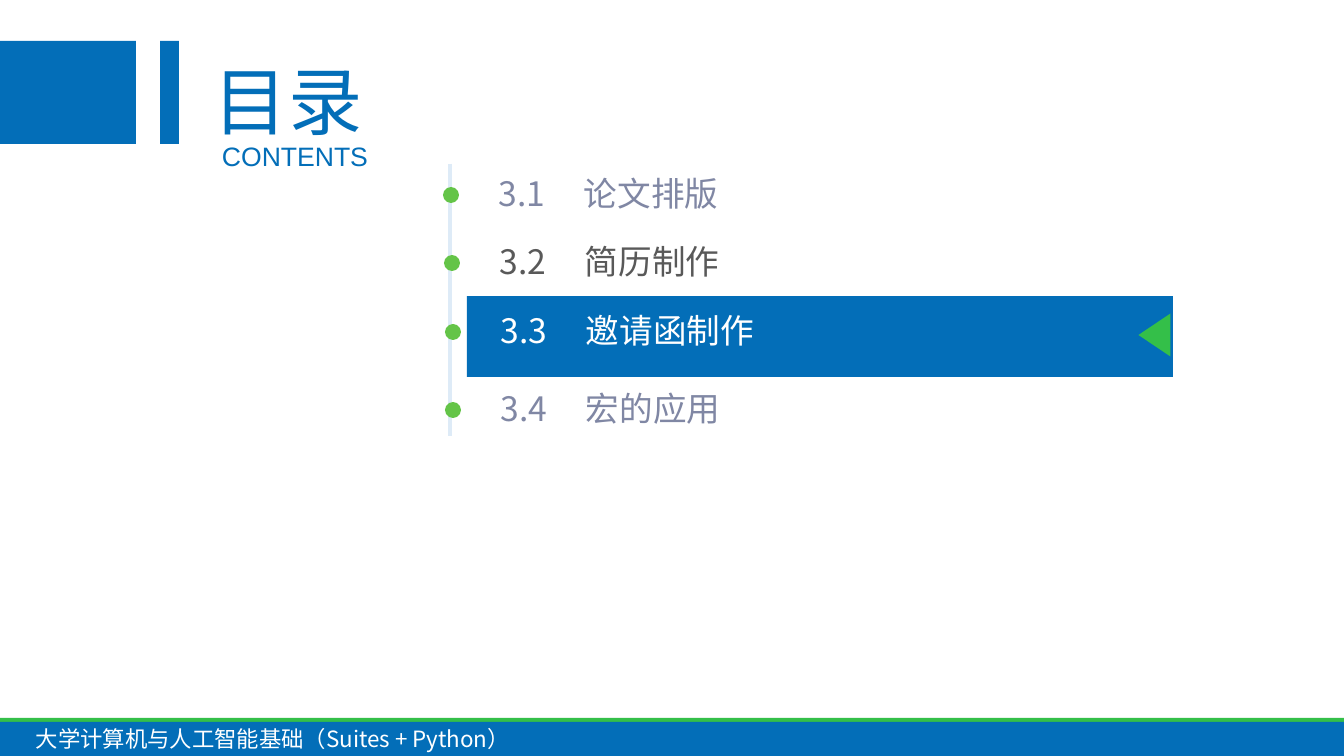
from lxml import etree
from pptx import Presentation
from pptx.dml.color import RGBColor
from pptx.enum.shapes import MSO_CONNECTOR, MSO_SHAPE
from pptx.oxml.ns import qn
from pptx.util import Emu, Pt

RECTANGLE, OVAL = MSO_SHAPE.RECTANGLE, MSO_SHAPE.OVAL
TRIANGLE = MSO_SHAPE.ISOSCELES_TRIANGLE
STRAIGHT = MSO_CONNECTOR.STRAIGHT

WIDTH, HEIGHT = 1344, 756
CJK_FONT = "Noto Sans CJK SC"
BLUE, GREEN, DOT_GREEN = "036EB8", "34BF49", "64C448"
WHITE, MUTED, DARK, PALE = "FFFFFF", "8087A4", "595959", "DEEBF7"


def px(value):
    return Emu(round(value * 914400 / 100.8))


def color(value):
    return RGBColor.from_string(value)


def add_block(slide, kind, left, top, width, height, fill):
    shape = slide.shapes.add_shape(kind, px(left), px(top), px(width), px(height))
    shape.shadow.inherit = False
    shape.fill.solid()
    shape.fill.fore_color.rgb = color(fill)
    shape.line.fill.background()
    return shape


def add_text(slide, text, left, top, width, height, *, size, fill,
             font=CJK_FONT, spacing=None, margins=(0, 0, 0, 7), tab=None):
    box = slide.shapes.add_textbox(px(left), px(top), px(width), px(height))
    frame = box.text_frame
    frame.word_wrap = True
    (frame.margin_left, frame.margin_top,
     frame.margin_right, frame.margin_bottom) = map(px, margins)
    paragraph = frame.paragraphs[0]
    if tab:
        stops = etree.SubElement(paragraph._p.get_or_add_pPr(), qn("a:tabLst"))
        etree.SubElement(stops, qn("a:tab"), pos=str(px(tab)), algn="l")
    if spacing:
        paragraph.line_spacing = Pt(spacing)
    run = paragraph.add_run()
    run.text = text
    run.font.size = Pt(size)
    run.font.color.rgb = color(fill)
    run.font.name = font
    etree.SubElement(run._r.get_or_add_rPr(), qn("a:ea"), typeface=font)


def add_heading(slide, left, top, height):
    # Blue blocks bleeding in from the left edge
    add_block(slide, RECTANGLE, left, top, 142, height, BLUE)
    add_block(slide, RECTANGLE, left + 166, top, 19, height, BLUE)
    # Title and its translation
    add_text(slide, "目录", left + 220, top + 6, 152, 105,
             size=53, fill=BLUE, spacing=69.3)
    add_text(slide, "CONTENTS", left + 228, top + 108, 152, 29,
             size=19, fill=BLUE, font="Arial", spacing=16)


def add_highlight(slide, left, top, width, height):
    add_block(slide, RECTANGLE, left, top, width, height, BLUE)
    base, depth = 43, 32
    pointer = add_block(slide, TRIANGLE, left + width - 40, top + 23,
                        base, depth, GREEN)
    pointer.rotation = 270


def add_contents(slide, left, top, height):
    add_highlight(slide, left + 17, top + 132, 706, 81)
    # Timeline
    line = slide.shapes.add_connector(STRAIGHT, px(left), px(top),
                                      px(left), px(top + height))
    line.line.color.rgb = color(PALE)
    line.line.width = Pt(2.25)
    etree.SubElement(line._element.spPr, qn("a:effectLst"))
    # Entries: number, title, offset from the timeline, colour
    entries = [
        ("3.1", "论文排版", 49, 16, MUTED),
        ("3.2", "简历制作", 50, 84, DARK),
        ("3.3", "邀请函制作", 51, 153, WHITE),
        ("3.4", "宏的应用", 51, 231, MUTED),
    ]
    for number, title, across, down, fill in entries:
        entry_left, entry_top = left + across, top + down
        add_text(slide, f"{number}\t{title}", entry_left, entry_top, 260, 40,
                 size=24, fill=fill, spacing=24, tab=85)
        add_block(slide, OVAL, entry_left - 56, entry_top + 7, 16, 16, DOT_GREEN)


def add_footer(slide, left, top, width):
    add_block(slide, RECTANGLE, left, top, width, 22, GREEN)
    add_block(slide, RECTANGLE, left, top + 4, width, 34, BLUE)
    add_text(slide, "大学计算机与人工智能基础（Suites + Python）",
             left + 26, top + 2, 656, 36, size=16, fill=WHITE,
             margins=(10, 5, 10, 5))


def main():
    presentation = Presentation()
    presentation.slide_width, presentation.slide_height = px(WIDTH), px(HEIGHT)
    slide = presentation.slides.add_slide(presentation.slide_layouts[6])
    add_contents(slide, 450, 164, 272)
    add_heading(slide, -6, 41, 103)
    add_footer(slide, 0, 718, WIDTH)
    presentation.save("out.pptx")


if __name__ == "__main__":
    main()
